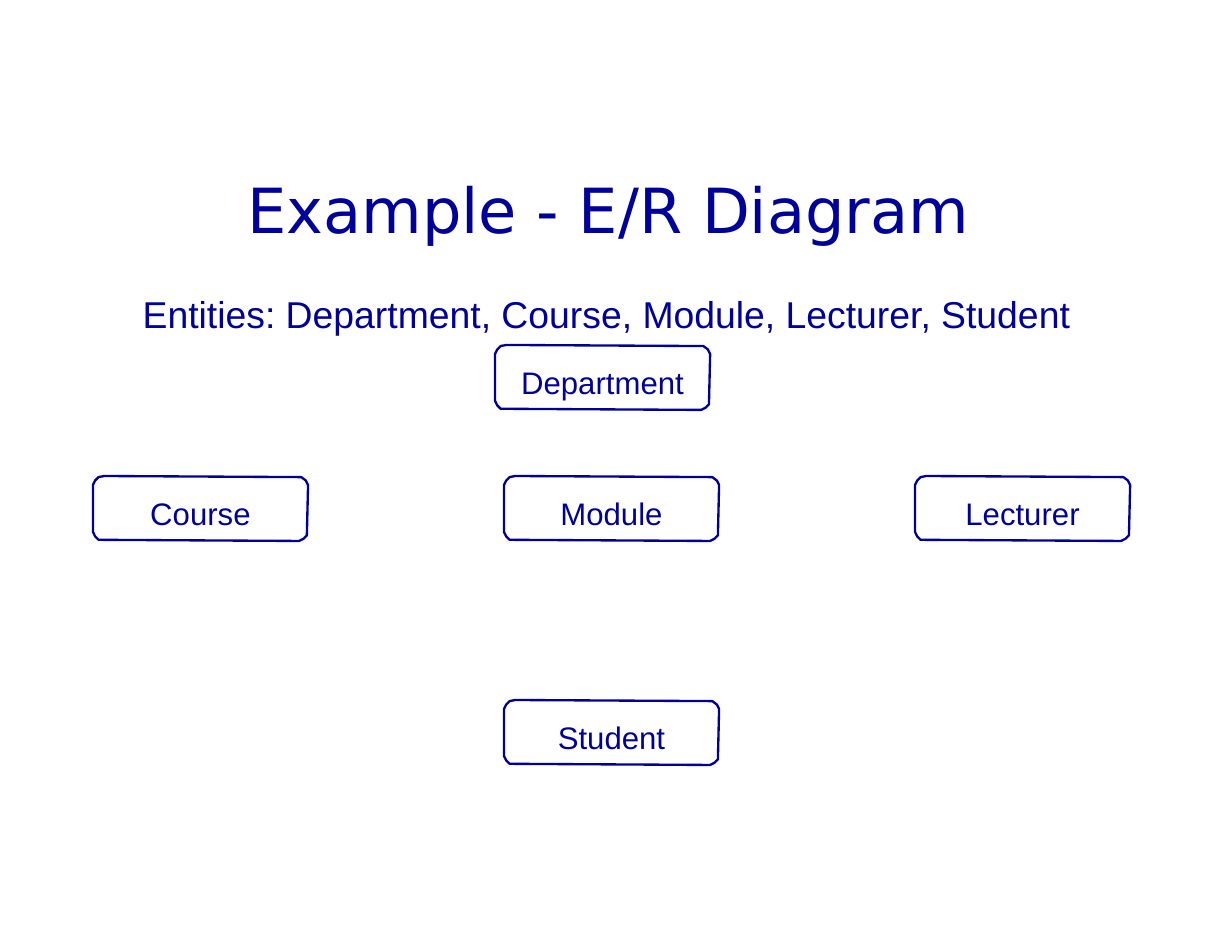
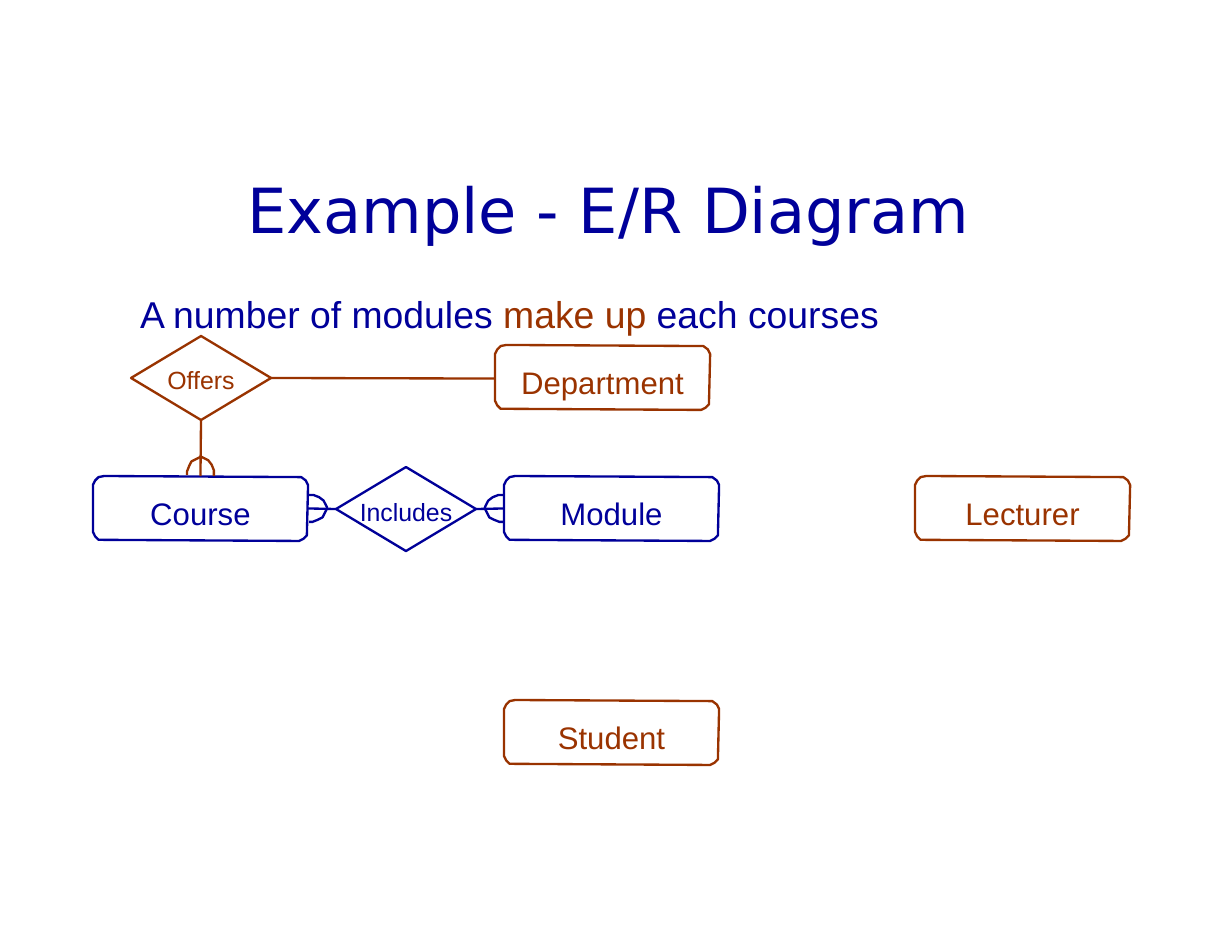
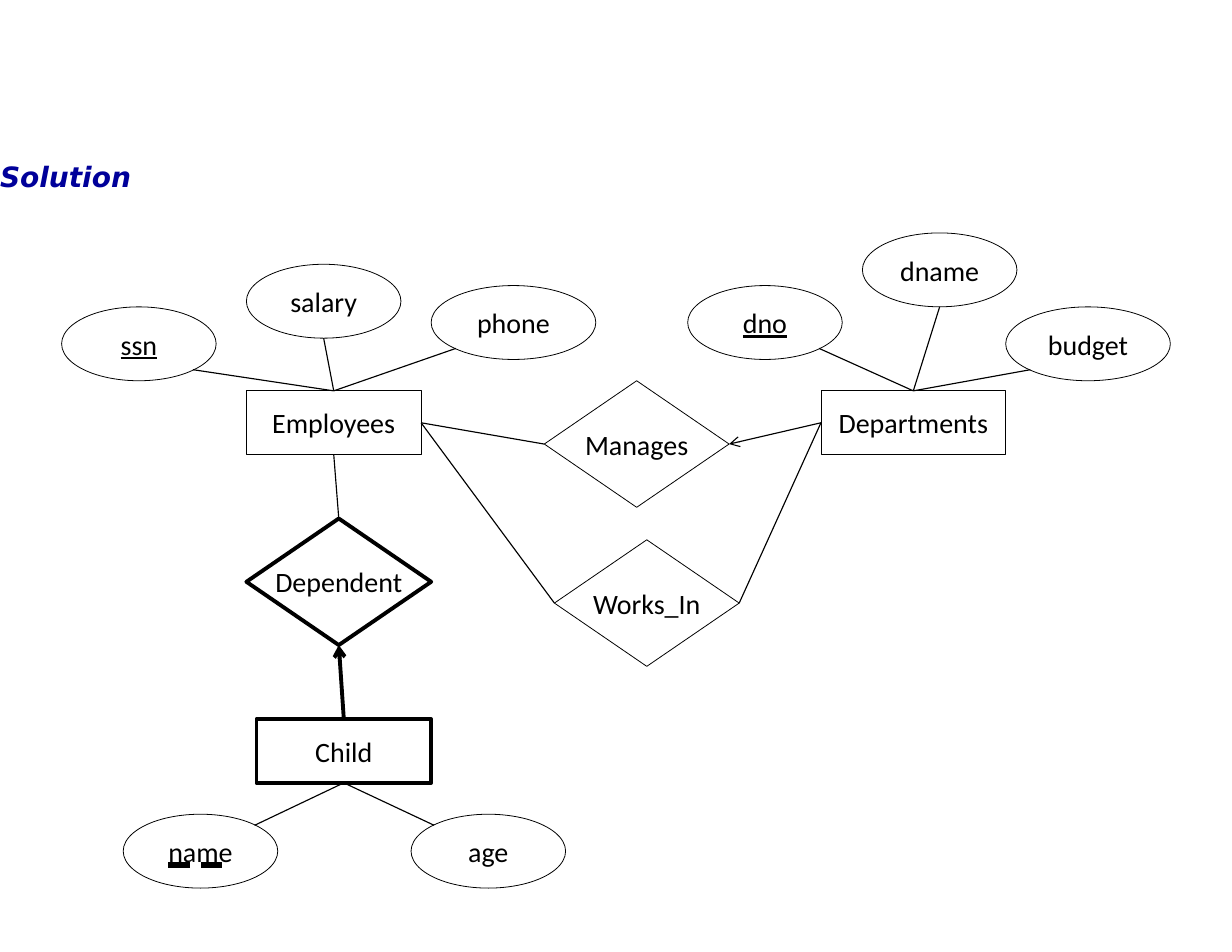
from collections import namedtuple

from pptx import Presentation
from pptx.dml.color import RGBColor
from pptx.enum.shapes import MSO_CONNECTOR, MSO_SHAPE
from pptx.enum.text import MSO_ANCHOR, MSO_AUTO_SIZE, MSO_UNDERLINE, PP_ALIGN
from pptx.oxml.ns import qn
from pptx.oxml.xmlchemy import OxmlElement
from pptx.util import Inches, Pt

Tone = namedtuple("Tone", "line text")
NAVY = Tone(RGBColor(0x00, 0x00, 0x99), RGBColor(0x00, 0x00, 0x9A))
RUST = Tone(RGBColor(0x99, 0x33, 0x00), RGBColor(0x9A, 0x33, 0x00))
BLACK = RGBColor(0, 0, 0)
WHITE = RGBColor(255, 255, 255)

HEADING_FONT, LABEL_FONT, NODE_FONT = "DejaVu Sans", "Arial", "Calibri"
TITLE_ONLY, TITLE_AND_CONTENT = 5, 1
TOP, LEFT, BOTTOM, RIGHT = range(4)

ENTITY_WIDTH, ENTITY_HEIGHT = 1.92, 0.58
ENTITY_OUTLINE = [
    (0.10, 0), (0.05, 0.01), (0.02, 0.04), (0, 0.08),
    (0, 0.49), (0, 0.50), (0.02, 0.54), (0.05, 0.57),
    (1.82, 0.58), (1.84, 0.58), (1.88, 0.56), (1.91, 0.53),
    (1.92, 0.10), (1.92, 0.08), (1.90, 0.04), (1.86, 0.01),
]
# Entity name: left, top, label width
ENTITIES = {
    "Module": (4.5, 4.25, 0.94),
    "Course": (0.83, 4.25, 0.92),
    "Department": (4.42, 3.08, 1.48),
    "Student": (4.5, 6.25, 0.99),
    "Lecturer": (8.17, 4.25, 1.05),
}
# Distance out from the entity's edge, distance along it
MANY_ARC = [
    (0, -0.12), (0.05, -0.12), (0.10, -0.10), (0.14, -0.07), (0.16, -0.03),
    (0.17, -0.01), (0.17, 0), (0.15, 0.04), (0.13, 0.08), (0.09, 0.10),
    (0.04, 0.12), (0.03, 0.12), (0.01, 0.12),
]
RELATION_WIDTH, RELATION_HEIGHT = 1.25, 0.75
NODE_HEIGHT, ATTRIBUTE_HEIGHT = 0.57, 0.66
DIAMOND_WIDTH, DIAMOND_HEIGHT = 1.65, 1.13
THIN, THICK = 0.5, 2.5


def style(run, font, size, color):
    run.font.name = font
    run.font.size = Pt(size)
    run.font.color.rgb = color


def set_frame(frame, wrap=True, anchor=MSO_ANCHOR.TOP, inset=(0, 0)):
    frame.word_wrap = wrap
    frame.auto_size = MSO_AUTO_SIZE.NONE
    frame.vertical_anchor = anchor
    frame.margin_left = frame.margin_right = Inches(inset[0])
    frame.margin_top = frame.margin_bottom = Inches(inset[1])


def place(shape, left, top, width, height):
    shape.left, shape.top = Inches(left), Inches(top)
    shape.width, shape.height = Inches(width), Inches(height)


def add_title(slide, text):
    title = slide.shapes.title
    place(title, 1.44, 1.54, 8.12, 0.58)
    set_frame(title.text_frame)
    title.text_frame.text = text
    paragraph = title.text_frame.paragraphs[0]
    paragraph.alignment = PP_ALIGN.LEFT
    paragraph.line_spacing = Pt(46.9)
    paragraph._p.get_or_add_pPr().set("marL", str(Inches(0.77)))
    style(paragraph.runs[0], HEADING_FONT, 40, NAVY.text)


def add_text(slide, box, parts, size, alignment):
    """Add one line made of (text, colour) parts."""
    textbox = slide.shapes.add_textbox(*map(Inches, box))
    set_frame(textbox.text_frame)
    paragraph = textbox.text_frame.paragraphs[0]
    paragraph.alignment = alignment
    for text, color in parts:
        run = paragraph.add_run()
        run.text = text
        style(run, LABEL_FONT, size, color)


def add_outline(slide, points, tone, close):
    corners = [(Inches(x), Inches(y)) for x, y in points]
    builder = slide.shapes.build_freeform(*corners[0])
    builder.add_line_segments(corners[1:], close=close)
    outline = builder.convert_to_shape()
    outline.shadow.inherit = False
    outline.fill.background()
    outline.line.color.rgb = tone.line
    outline.line.width = Pt(1.5)


def add_line(slide, start, end, color, width, arrow=False):
    """Join two ends, each an (x, y) point or a (shape, side) pair."""
    points = [(0, 0) if hasattr(e[0], "text_frame") else e for e in (start, end)]
    line = slide.shapes.add_connector(
        MSO_CONNECTOR.STRAIGHT, *(Inches(v) for point in points for v in point))
    for spot, connect in ((start, line.begin_connect), (end, line.end_connect)):
        if hasattr(spot[0], "text_frame"):
            connect(*spot)
    line.line.color.rgb = color
    line.line.width = Pt(width)
    properties = line._element.spPr
    if arrow:
        tail = OxmlElement("a:tailEnd")
        tail.set("type", "arrow")
        properties.find(qn("a:ln")).append(tail)
    properties.append(OxmlElement("a:effectLst"))


def add_entity(slide, name, tone):
    left, top, label_width = ENTITIES[name]
    outline = [(left + x, top + y) for x, y in ENTITY_OUTLINE]
    add_outline(slide, outline, tone, close=True)
    label_left = left + (ENTITY_WIDTH - label_width) / 2
    add_text(slide, (label_left, top + 0.16, label_width, 0.31),
             [(name, tone.text)], 20, PP_ALIGN.CENTER)


def add_relation(slide, name, left, top, label_width, tone):
    diamond = slide.shapes.add_shape(
        MSO_SHAPE.DIAMOND, Inches(left), Inches(top),
        Inches(RELATION_WIDTH), Inches(RELATION_HEIGHT))
    diamond.shadow.inherit = False
    diamond.fill.background()
    diamond.line.color.rgb = tone.line
    diamond.line.width = Pt(1.5)
    label_left = left + (RELATION_WIDTH - label_width) / 2
    add_text(slide, (label_left, top + 0.26, label_width, 0.25),
             [(name, tone.text)], 16, PP_ALIGN.CENTER)
    return diamond


def add_many_end(slide, x, y, out_x, out_y, tone):
    """Draw the 'many' arc on an entity's edge, bulging towards (out_x, out_y)."""
    along_x, along_y = out_y, abs(out_x)
    arc = [(x + out * out_x + along * along_x, y + out * out_y + along * along_y)
           for out, along in MANY_ARC]
    add_outline(slide, arc, tone, close=False)


def build_diagram_slide(deck, navy_entities):
    slide = deck.slides.add_slide(deck.slide_layouts[TITLE_ONLY])
    add_title(slide, "Example - E/R Diagram")
    for name in ENTITIES:
        add_entity(slide, name, NAVY if name in navy_entities else RUST)
    return slide


def build_entities_slide(deck):
    slide = build_diagram_slide(deck, ENTITIES)
    caption = "Entities: Department, Course, Module, Lecturer, Student"
    add_text(slide, (1.25, 2.6, 8.33, 0.37), [(caption, NAVY.text)],
             24, PP_ALIGN.CENTER)


def build_relations_slide(deck):
    slide = build_diagram_slide(deck, ("Course", "Module"))
    includes = add_relation(slide, "Includes", 3, 4.17, 0.85, NAVY)
    offers = add_relation(slide, "Offers", 1.17, 3, 0.64, RUST)

    course_left, course_top, _ = ENTITIES["Course"]
    course_right = course_left + ENTITY_WIDTH
    course_middle = course_left + ENTITY_WIDTH / 2
    module_left = ENTITIES["Module"][0]
    row_middle = course_top + ENTITY_HEIGHT / 2
    department_left = ENTITIES["Department"][0]

    add_line(slide, (course_right, row_middle), (includes, LEFT), NAVY.line, 1.5)
    add_line(slide, (includes, RIGHT), (module_left, row_middle), NAVY.line, 1.5)
    add_line(slide, (department_left, 3.38), (offers, RIGHT), RUST.line, 1.5)
    add_line(slide, (offers, BOTTOM), (course_middle, course_top), RUST.line, 1.5)

    add_many_end(slide, module_left, row_middle, -1, 0, NAVY)
    add_many_end(slide, course_middle, course_top, 0, -1, RUST)
    add_many_end(slide, course_right, row_middle, 1, 0, NAVY)
    add_text(slide, (1.25, 2.6, 6.65, 0.37),
             [("A number of modules ", NAVY.text), ("make up ", RUST.text),
              ("each courses", NAVY.text)], 24, PP_ALIGN.LEFT)


def add_node(slide, preset, name, box, line_width=THIN, underline=None):
    node = slide.shapes.add_shape(preset, *map(Inches, box))
    node.shadow.inherit = False
    node.fill.solid()
    node.fill.fore_color.rgb = WHITE
    node.line.color.rgb = BLACK
    node.line.width = Pt(line_width)
    is_diamond = preset == MSO_SHAPE.DIAMOND
    set_frame(node.text_frame, not is_diamond, MSO_ANCHOR.MIDDLE,
              (0, 0) if is_diamond else (0.11, 0.06))
    node.text_frame.text = name
    paragraph = node.text_frame.paragraphs[0]
    paragraph.alignment = PP_ALIGN.CENTER
    style(paragraph.runs[0], NODE_FONT, 18, BLACK)
    paragraph.runs[0].font.underline = underline
    return node


def add_entity_set(slide, name, left, top, width, line_width=THIN):
    return add_node(slide, MSO_SHAPE.RECTANGLE, name,
                    (left, top, width, NODE_HEIGHT), line_width)


def add_relationship_set(slide, name, left, top, line_width=THIN):
    return add_node(slide, MSO_SHAPE.DIAMOND, name,
                    (left, top, DIAMOND_WIDTH, DIAMOND_HEIGHT), line_width)


def add_attribute(slide, name, box, toward, owner_end, underline=None):
    """Add an ellipse and the line that leaves it toward (x, y) signs."""
    left, top, width = box
    add_node(slide, MSO_SHAPE.OVAL, name, (*box, ATTRIBUTE_HEIGHT),
             underline=underline)
    reach = 0.35 if toward[0] else 0.5
    start = (left + width * (0.5 + reach * toward[0]),
             top + ATTRIBUTE_HEIGHT * (0.5 + reach * toward[1]))
    add_line(slide, start, owner_end, BLACK, 0.75)


def add_solution_heading(slide):
    title, body = slide.placeholders
    title._element.getparent().remove(title._element)
    place(body, 0, 1.42, 11, 7.08)
    set_frame(body.text_frame)
    body.text_frame.text = "Solution"
    paragraph = body.text_frame.paragraphs[0]
    properties = paragraph._p.get_or_add_pPr()
    properties.set("marL", "0")
    properties.set("indent", "0")
    properties.append(OxmlElement("a:buNone"))
    paragraph.space_before = Pt(0)
    run = paragraph.runs[0]
    style(run, HEADING_FONT, 18, NAVY.text)
    run.font.bold = run.font.italic = True


def build_solution_slide(deck):
    slide = deck.slides.add_slide(deck.slide_layouts[TITLE_AND_CONTENT])
    add_solution_heading(slide)

    departments = add_entity_set(slide, "Departments", 7.33, 3.49, 1.65)
    employees = add_entity_set(slide, "Employees", 2.2, 3.49, 1.56)
    child = add_entity_set(slide, "Child", 2.29, 6.42, 1.56, THICK)
    manages = add_relationship_set(slide, "Manages", 4.86, 3.4)
    works_in = add_relationship_set(slide, "Works_In", 4.95, 4.82)
    dependent = add_relationship_set(slide, "Dependent", 2.2, 4.63, THICK)

    key, partial_key = MSO_UNDERLINE.SINGLE_LINE, MSO_UNDERLINE.DASH_HEAVY_LINE
    for name, box, toward, owner_end, underline in [
        ("ssn", (0.55, 2.74, 1.38), (1, 1), (employees, TOP), key),
        ("salary", (2.2, 2.36, 1.38), (0, 1), (employees, TOP), None),
        ("phone", (3.85, 2.55, 1.47), (-1, 1), (employees, TOP), None),
        ("dno", (6.14, 2.55, 1.38), (1, 1), (departments, TOP), key),
        ("dname", (7.7, 2.08, 1.38), (0, 1), (departments, TOP), None),
        ("budget", (8.98, 2.74, 1.47), (-1, 1), (departments, TOP), None),
        ("name", (1.1, 7.27, 1.38), (1, -1), (child, BOTTOM), partial_key),
        ("age", (3.67, 7.27, 1.38), (-1, -1), (child, BOTTOM), None),
    ]:
        add_attribute(slide, name, box, toward, owner_end, underline)

    for start, end, width, arrow in [
        ((employees, BOTTOM), (dependent, TOP), 0.75, False),
        ((employees, RIGHT), (works_in, LEFT), 0.75, False),
        ((works_in, RIGHT), (departments, LEFT), 0.75, False),
        ((employees, RIGHT), (manages, LEFT), 0.75, False),
        ((departments, LEFT), (manages, RIGHT), 0.75, True),
        ((child, TOP), (dependent, BOTTOM), THICK, True),
    ]:
        add_line(slide, start, end, BLACK, width, arrow)


def main():
    deck = Presentation()
    deck.slide_width, deck.slide_height = Inches(11), Inches(8.5)
    build_entities_slide(deck)
    build_relations_slide(deck)
    build_solution_slide(deck)
    deck.save("out.pptx")


if __name__ == "__main__":
    main()
